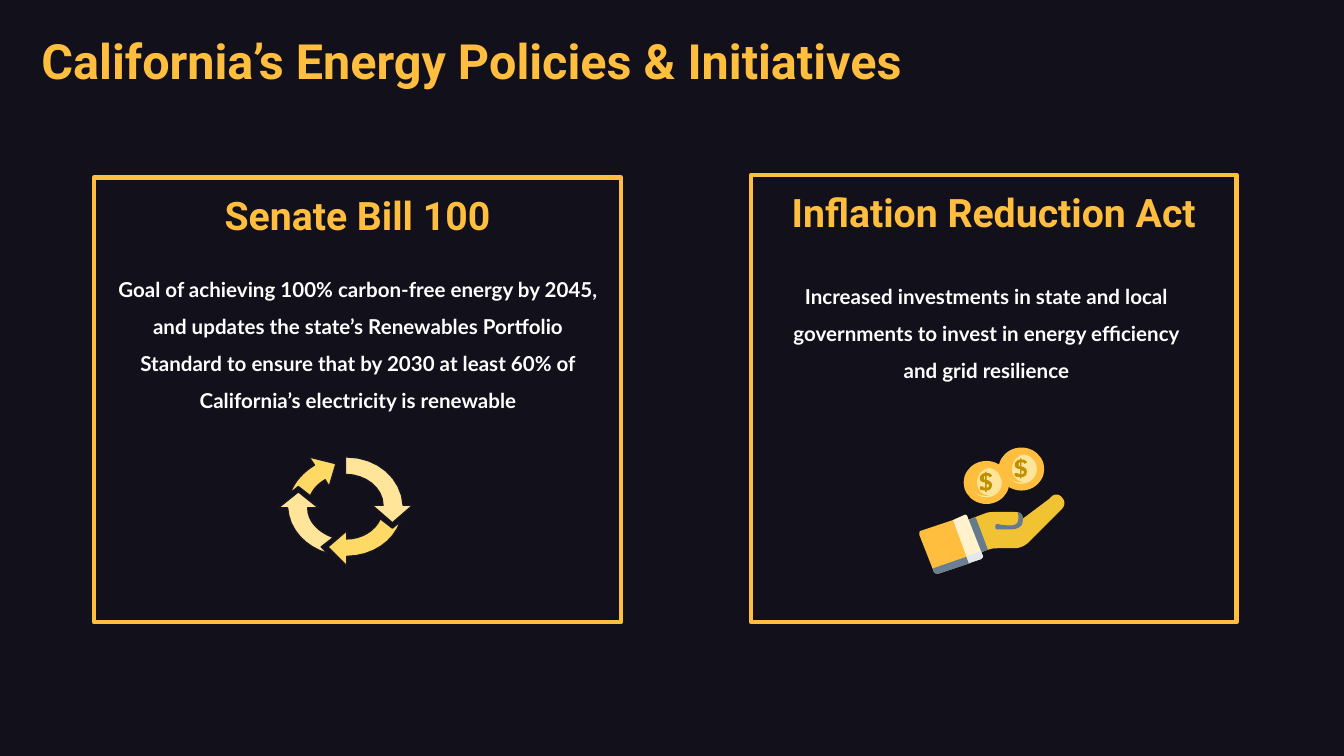
import pptx
import pptx.dml.color
import pptx.enum.shapes
import pptx.enum.text
import pptx.oxml
import pptx.oxml.ns
import pptx.util
from lxml import etree

SLIDE_WIDTH = 10
SLIDE_HEIGHT = SLIDE_WIDTH * 9 / 16

BACKGROUND, GOLD, WHITE = "11101B", "FFBE3E", "FFFFFF"
PALE, YELLOW, DARK_GOLD, OUTLINE = "FFE599", "FFD966", "BF9000", "181622"
SLATE = "657A8D"

TITLE = ("California’s Energy Policies & Initiatives", (0.21, 0.13, 8.98, 0.69))
# heading, card box, body text, body box
CARDS = [
    ("Senate Bill 100", (0.7, 1.32, 3.92, 3.31),
     "Goal of achieving 100% carbon-free energy by 2045, and updates the state’s "
     "Renewables Portfolio Standard to ensure that by 2030 at least 60% of "
     "California’s electricity is renewable", (0.76, 1.87, 3.81, 1.44)),
    ("Inflation Reduction Act", (5.59, 1.3, 3.61, 3.33),
     "Increased investments in state and local governments to invest in energy "
     "efficiency and grid resilience", (5.8, 1.92, 3.08, 1.23)),
]

# Outlines: M move, L line, C cubic curve, in hundredths of an inch
CYCLE_ARROWS = [
    (YELLOW, "M 230 340 L 234 346 C 226 351 219 358 216 367 L 222 362 L 231 369 "
             "C 233 364 237 360 242 357 L 245 362 L 250 345"),
    (PALE, "M 222 366 L 207 378 L 214 378 C 215 394 227 407 244 412 L 239 407 "
           "L 248 400 C 237 396 229 388 229 378 L 237 378"),
    (YELLOW, "M 283 386 C 279 395 269 401 258 401 L 258 395 L 244 407 L 258 421 "
             "L 258 414 C 277 414 293 403 298 388 L 292 393"),
    (PALE, "M 258 340 L 257 340 L 257 353 C 272 353 285 363 285 376 L 277 376 "
           "L 292 389 L 307 376 L 300 376 C 299 356 281 340 258 340"),
]
HAND = [
    (GOLD, "M 709 387 L 685 395 C 684 395 684 397 684 398 L 695 426 "
           "C 695 426 696 427 698 427 L 722 419"),
    ("6A7F91", "M 720 414 L 694 423 L 695 426 C 695 426 696 427 698 427 L 722 419"),
    ("F1C232", "M 786 368 C 783 368 781 371 781 371 L 761 386 C 761 385 761 381 755 381 "
               "L 743 381 C 737 381 736 381 733 382 L 720 387 L 730 411 "
               "C 738 408 738 408 745 408 L 755 408 C 759 408 763 406 766 403 "
               "L 790 379 C 791 378 794 374 790 370 C 789 369 788 368 786 368"),
    (SLATE, "M 726 385 L 720 387 L 730 411 L 735 409"),
    (SLATE, "M 757 381 C 758 383 758 387 757 389 C 756 390 755 391 752 391 "
            "C 750 391 747 391 742 390 C 740 390 740 394 742 394 L 751 394 "
            "C 756 394 758 393 760 391 C 761 389 761 388 761 386 C 761 385 761 382 757 381"),
    ("FFF2CC", "M 718 383 L 709 387 L 721 419 L 730 416 C 731 415 732 414 731 413 "
               "L 720 385 C 720 384 719 383 718 383"),
    ("E2E9ED", "M 730 410 L 719 414 L 721 419 L 730 416 C 731 415 732 414 731 413"),
]
COIN_SHADE = ("M 734 348 C 727 348 722 352 722 358 C 722 365 727 369 734 369 L 736 369 "
              "C 730 368 727 364 727 359 C 727 353 731 349 736 348")
DOLLAR = ("M 733 354 L 733 357 C 732 357 732 356 732 355 C 732 355 732 354 733 354 "
          "M 734 360 C 735 360 736 361 736 361 C 736 362 735 363 734 363 "
          "M 734 351 C 733 351 733 351 733 352 C 731 352 729 354 729 356 "
          "C 729 358 731 359 733 359 L 733 363 C 732 363 731 362 731 362 "
          "C 730 362 730 362 729 362 C 729 363 729 363 729 364 C 730 365 732 365 733 365 "
          "L 733 366 L 734 366 L 734 365 C 737 365 738 363 738 361 "
          "C 738 359 737 358 734 357 L 734 354 C 735 354 736 354 736 355 "
          "C 737 355 737 355 738 354 C 738 354 738 353 737 353 C 737 352 735 352 734 352")
COIN_CENTRES = [(7.34, 3.59), (7.6, 3.49)]
COIN_SIZE, FACE_SIZE = (0.34, 0.32), (0.23, 0.22)


def rgb(color):
    return pptx.dml.color.RGBColor.from_string(color)


def inches(values):
    return [pptx.util.Inches(v) for v in values]


def paint(s, fill=None, line=None, width=0.75):
    s.shadow.inherit = False
    if fill:
        s.fill.solid()
        s.fill.fore_color.rgb = rgb(fill)
    else:
        s.fill.background()
    if line:
        s.line.color.rgb = rgb(line)
        s.line.width = pptx.util.Pt(width)
    else:
        s.line.fill.background()


def write(s, text, font, size, color, centred=True, spacing=None):
    tf = s.text_frame
    tf.word_wrap = True
    tf.vertical_anchor = pptx.enum.text.MSO_ANCHOR.TOP
    tf.margin_left = tf.margin_right = tf.margin_top = tf.margin_bottom = pptx.util.Inches(0.1)
    p = tf.paragraphs[0]
    p.text = text
    align = pptx.enum.text.PP_ALIGN
    p.alignment = align.CENTER if centred else align.LEFT
    if spacing:
        p.line_spacing = spacing
    p.font.name, p.font.size, p.font.bold = font, pptx.util.Pt(size), True
    p.font.color.rgb = rgb(color)


def contours(path, steps=8):
    """Turn a path string into lists of points, with curves cut into short lines."""
    result = []
    for part in path.replace("M", "|M").replace("L", "|L").replace("C", "|C").split("|")[1:]:
        n = [float(v) / 100 for v in part[1:].split()]
        points = list(zip(n[::2], n[1::2]))
        if part[0] == "M":
            result.append(points)
        elif part[0] == "L":
            result[-1] += points
        else:
            curve = [result[-1][-1]] + points
            for i in range(1, steps + 1):
                t = i / steps
                weights = ((1 - t) ** 3, 3 * t * (1 - t) ** 2, 3 * t * t * (1 - t), t ** 3)
                result[-1].append(tuple(sum(w * c[axis] for w, c in zip(weights, curve))
                                        for axis in (0, 1)))
    return result


def draw_path(shapes, path, fill, line=None, dx=0, dy=0):
    outlines = [[inches((x + dx, y + dy)) for x, y in c] for c in contours(path)]
    builder = shapes.build_freeform(*outlines[0][0])
    for i, points in enumerate(outlines):
        if i:
            builder.move_to(*points[0])
        builder.add_line_segments(points[1:], close=True)
    paint(builder.convert_to_shape(), fill, line)


def draw_disc(shapes, centre, size, fill):
    corner = [c - d / 2 for c, d in zip(centre, size)]
    s = shapes.add_shape(pptx.enum.shapes.MSO_SHAPE.OVAL, *inches((*corner, *size)))
    paint(s, fill)


def draw_card(shapes, heading, box):
    s = shapes.add_shape(pptx.enum.shapes.MSO_SHAPE.RECTANGLE, *inches(box))
    paint(s, line=GOLD, width=2.25)
    ln = s.element.spPr.find(pptx.oxml.ns.qn("a:ln"))
    etree.SubElement(ln, pptx.oxml.ns.qn("a:round"))
    write(s, heading, "Roboto", 21, GOLD)


def main():
    prs = pptx.Presentation()
    prs.slide_width, prs.slide_height = inches((SLIDE_WIDTH, SLIDE_HEIGHT))
    slide = prs.slides.add_slide(prs.slide_layouts[6])
    slide.background.fill.solid()
    slide.background.fill.fore_color.rgb = rgb(BACKGROUND)
    shapes = slide.shapes

    title, title_box = TITLE
    write(shapes.add_textbox(*inches(title_box)), title, "Roboto", 26, GOLD, centred=False)
    for heading, box, body, body_box in CARDS:
        draw_card(shapes, heading, box)
        write(shapes.add_textbox(*inches(body_box)), body, "Lato", 11, WHITE, spacing=1.5)

    cycle = shapes.add_group_shape().shapes
    for fill, path in CYCLE_ARROWS:
        draw_path(cycle, path, fill, OUTLINE)

    giving = shapes.add_group_shape().shapes
    for x, y in COIN_CENTRES:
        dx, dy = x - COIN_CENTRES[0][0], y - COIN_CENTRES[0][1]
        draw_disc(giving, (x, y), COIN_SIZE, GOLD)
        draw_disc(giving, (x, y), FACE_SIZE, PALE)
        draw_path(giving, COIN_SHADE, GOLD, dx=dx, dy=dy)
        draw_path(giving, DOLLAR, DARK_GOLD, dx=dx, dy=dy)
    for fill, path in HAND:
        draw_path(giving, path, fill)

    prs.save("out.pptx")


if __name__ == "__main__":
    main()
